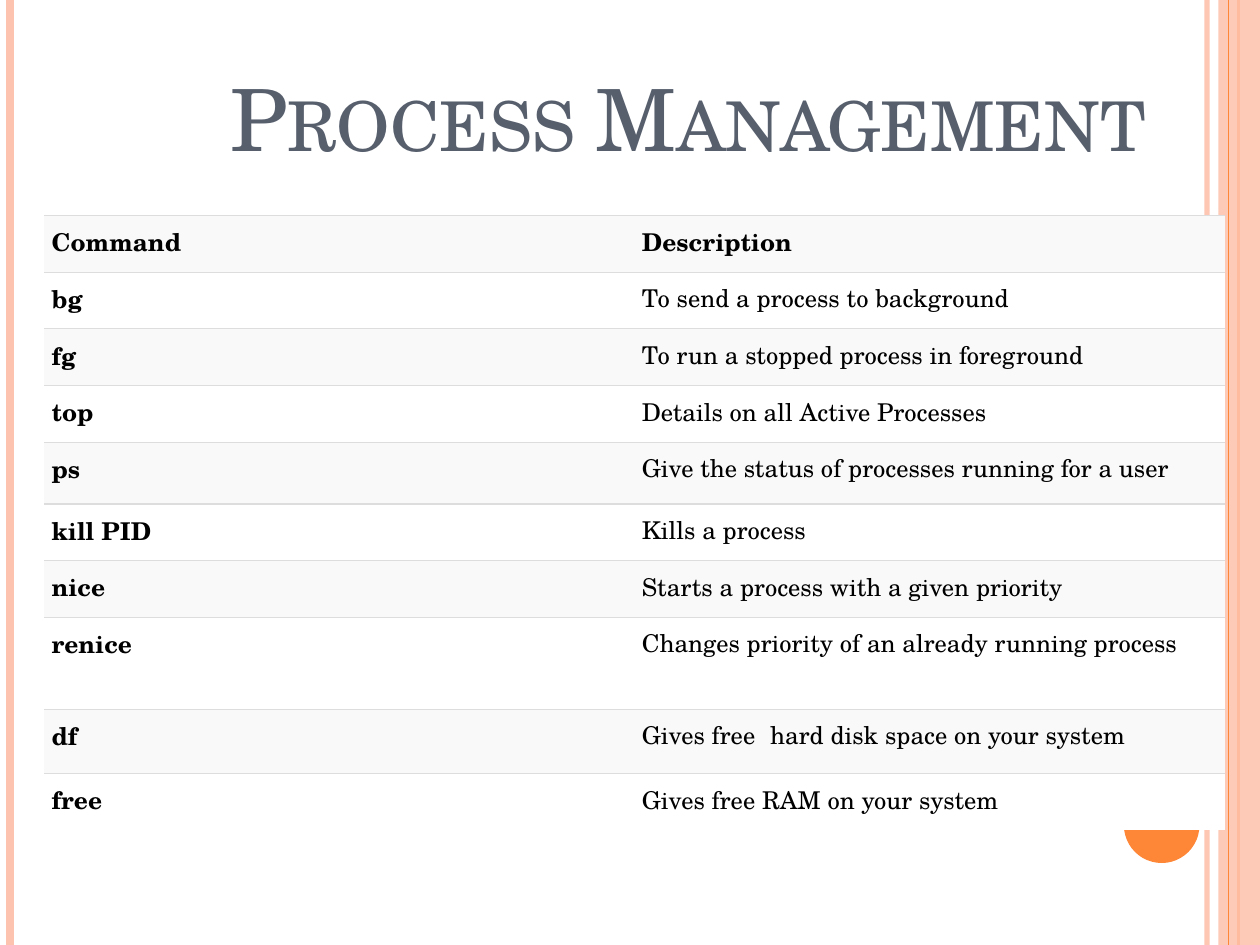
from pptx import Presentation
from pptx import util as u
from pptx.dml.color import RGBColor
from pptx.enum import shapes, text
from pptx.oxml import parse_xml
from pptx.oxml.ns import nsdecls, qn
from lxml import etree


def rgb(code):
    return RGBColor.from_string(code)


class Deck:
    FONT = "TeX Gyre Schola"
    PEACH, ORANGE, SLATE = "FEC3AE", "FE8637", "575F6D"
    BLACK, RULE = "000000", "DDDDDD"
    STRIPES = ("F9F9F9", "FFFFFF")
    W, H = 10, 7.5

    def __init__(self):
        self.prs = Presentation()
        self.prs.slide_width = u.Inches(self.W)
        self.prs.slide_height = u.Inches(self.H)
        self.s = self.prs.slides.add_slide(self.prs.slide_layouts[6])

    def box(self, x, y, w, h):
        return [u.Inches(n * side) for n, side in
                zip((x, y, w, h), (self.W, self.H) * 2)]

    def alpha(self, fill, percent):
        color = fill._xPr.find(qn("a:solidFill"))[0]
        etree.SubElement(color, qn("a:alpha"), val=str(percent * 1000))

    def rule(self, x, color, width, opacity=100):
        left, top, _, bottom = self.box(x, 0, 0, 1)
        line = self.s.shapes.add_connector(
            shapes.MSO_CONNECTOR.STRAIGHT, left, top, left, bottom)
        line.line.color.rgb = rgb(color)
        line.line.width = u.Pt(width)
        etree.SubElement(line._element.spPr, qn("a:effectLst"))
        if opacity < 100:
            self.alpha(line.line.fill, opacity)

    def shape(self, kind, at, color, opacity=100):
        sp = self.s.shapes.add_shape(kind, *self.box(*at))
        sp.shadow.inherit = False
        sp.fill.solid()
        sp.fill.fore_color.rgb = rgb(color)
        sp.line.fill.background()
        if opacity < 100:
            self.alpha(sp.fill, opacity)

    def run(self, p, words, size, color, bold=False):
        r = p.add_run()
        r.text = words
        r.font.name = self.FONT
        r.font.size = u.Pt(size)
        r.font.bold = bold
        r.font.color.rgb = rgb(color)
        return r

    def title(self, words, at, size):
        tf = self.s.shapes.add_textbox(*self.box(*at)).text_frame
        tf.word_wrap = True
        tf.vertical_anchor = text.MSO_ANCHOR.MIDDLE
        p = tf.paragraphs[0]
        p.alignment = text.PP_ALIGN.CENTER
        r = self.run(p, words, size, self.SLATE)
        r.font._element.set("cap", "small")

    def border(self, cell, sides):
        tcPr = cell._tc.get_or_add_tcPr()
        for i, side in enumerate(("lnL", "lnR", "lnT", "lnB")):
            if side in sides:
                paint = f'<a:solidFill><a:srgbClr val="{self.RULE}"/></a:solidFill>'
            else:
                paint = "<a:noFill/>"
            tcPr.insert(i, parse_xml(
                f'<a:{side} {nsdecls("a")} w="9525">{paint}</a:{side}>'))

    def table(self, rows, at, heights, size):
        columns = len(rows[0])
        tbl = self.s.shapes.add_table(len(rows), columns, *self.box(*at)).table
        tbl.first_row = tbl.horz_banding = False
        for i, (row, height) in enumerate(zip(rows, heights)):
            tbl.rows[i].height = u.Inches(height)
            for j, words in enumerate(row):
                cell = tbl.cell(i, j)
                cell.margin_left = cell.margin_right = u.Inches(0.06)
                cell.margin_top = cell.margin_bottom = u.Inches(0.06)
                cell.fill.solid()
                cell.fill.fore_color.rgb = rgb(self.STRIPES[i % 2])
                self.border(cell, ("lnT",) if i == len(rows) - 1 else ("lnT", "lnB"))
                self.run(cell.text_frame.paragraphs[0], words, size,
                         self.BLACK, i == 0 or j == 0)


COMMANDS = [
    ("Command", "Description"),
    ("bg", "To send a process to background"),
    ("fg", "To run a stopped process in foreground"),
    ("top", "Details on all Active Processes"),
    ("ps", "Give the status of processes running for a user"),
    ("kill PID", "Kills a process"),
    ("nice", "Starts a process with a given priority"),
    ("renice", "Changes priority of an already running process"),
    ("df", "Gives free\u00a0 hard disk space on your system"),
    ("free", "Gives free RAM on your system"),
]
TALL_ROWS = {"ps": 0.49, "renice": 0.73, "df": 0.51}

deck = Deck()
deck.rule(0.958, deck.PEACH, 3, 93)
deck.rule(0.008, deck.PEACH, 4.5)
deck.rule(0.983, deck.ORANGE, 1.5)
deck.shape(shapes.MSO_SHAPE.RECTANGLE, (0.967, 0, 0.033, 1), deck.PEACH, 87)
deck.rule(0.975, deck.ORANGE, 0.75)
deck.shape(shapes.MSO_SHAPE.OVAL, (0.892, 0.8333, 0.06, 0.08), deck.ORANGE)
deck.title("Process Management", (0.093, 0.061, 0.907, 0.127), 49)
deck.table(COMMANDS, (0.035, 0.228, 0.937, 0.65),
           [TALL_ROWS.get(name, 0.45) for name, _ in COMMANDS], 14)
deck.prs.save("out.pptx")
